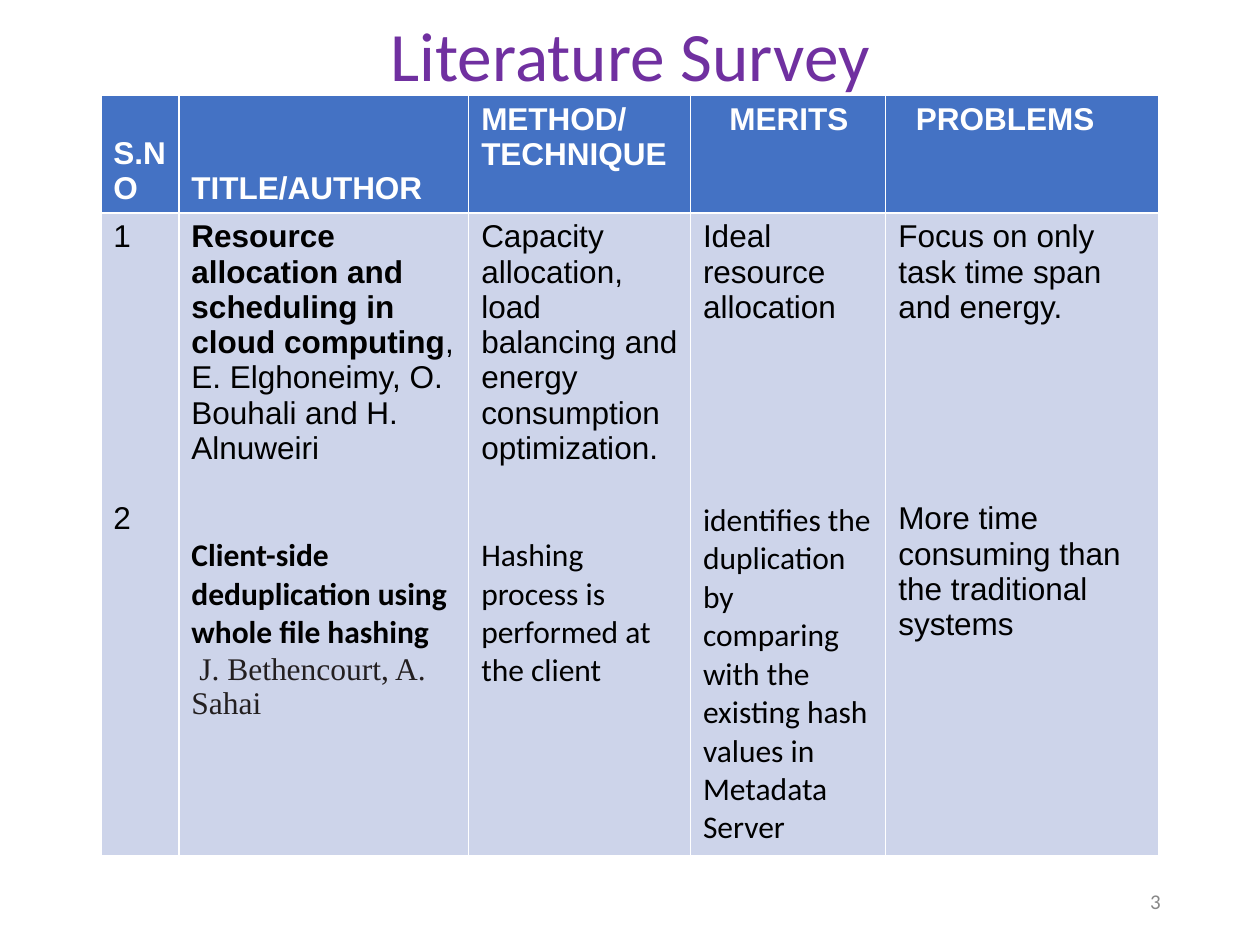
from pptx import Presentation
from pptx.dml.color import RGBColor
from pptx.enum.text import MSO_ANCHOR, PP_ALIGN
from pptx.util import Inches, Pt

LINE = 20.15  # height of one body line in points
COLUMN_WIDTHS = [0.62, 2.3, 1.76, 1.55, 2.17]
ROW_HEIGHTS = [0.93, 5.08]

# Heading lines, anchor and left margin of each column
HEADINGS = [
    (["S.NO"], MSO_ANCHOR.BOTTOM, 0.1),
    (["TITLE/AUTHOR"], MSO_ANCHOR.BOTTOM, 0.1),
    (["METHOD/", "TECHNIQUE"], MSO_ANCHOR.TOP, 0.1),
    (["MERITS"], MSO_ANCHOR.TOP, 0.31),
    (["PROBLEMS"], MSO_ANCHOR.TOP, 0.24),
]

# Paragraphs of each column: text, then only the settings that differ
SURVEY = [
    [("1", {}), ("2", {"gap": 7})],
    [
        ("Resource allocation and scheduling in cloud computing",
         {"bold": True, "tail": ","}),
        ("E. Elghoneimy, O. Bouhali and H. Alnuweiri", {}),
        ("Client-side deduplication using whole file hashing",
         {"font": "Calibri", "bold": True, "gap": 2}),
        (" J. Bethencourt, A. Sahai",
         {"font": "Times New Roman", "color": "231F20"}),
    ],
    [
        ("Capacity allocation,", {}),
        ("load balancing and energy consumption optimization.", {}),
        ("Hashing process is performed at the client",
         {"font": "Calibri", "gap": 2}),
    ],
    [
        ("Ideal resource allocation", {}),
        ("identifies the duplication by comparing with the existing hash "
         "values in Metadata Server", {"font": "Calibri", "gap": 5}),
    ],
    [
        ("Focus on only task time span and energy.", {}),
        ("More time consuming than the traditional systems", {"gap": 5}),
    ],
]


def rgb(color):
    return RGBColor.from_string(color)


def style(font, name, size, color, bold=False):
    font.name = name
    font.size = Pt(size)
    font.bold = bold
    font.color.rgb = rgb(color)


def add_label(slide, text, box, size, color, align):
    label = slide.shapes.add_textbox(*map(Inches, box)).text_frame
    label.word_wrap = True
    label.vertical_anchor = MSO_ANCHOR.MIDDLE
    paragraph = label.paragraphs[0]
    paragraph.text = text
    paragraph.alignment = align
    style(paragraph.font, "Calibri", size, color)
    return paragraph


def write_paragraph(paragraph, text, font="Arial", color="000000",
                    bold=False, gap=0, tail=""):
    """Write one table paragraph; gap counts the lines left free above it."""
    paragraph.text = text
    style(paragraph.font, font, 18, color, bold)
    if gap:
        paragraph.space_before = Pt(round(gap * LINE, 1))
    if tail:
        ending = paragraph.add_run()
        ending.text = tail
        ending.font.bold = False


def fill_cell(cell, color, paragraphs):
    cell.fill.solid()
    cell.fill.fore_color.rgb = rgb(color)
    frame = cell.text_frame
    for index, (text, settings) in enumerate(paragraphs):
        paragraph = frame.add_paragraph() if index else frame.paragraphs[0]
        write_paragraph(paragraph, text, **settings)


def add_survey_table(slide):
    table = slide.shapes.add_table(
        len(ROW_HEIGHTS), len(COLUMN_WIDTHS), Inches(0.8), Inches(0.76),
        Inches(sum(COLUMN_WIDTHS)), Inches(sum(ROW_HEIGHTS))).table
    for column, width in zip(table.columns, COLUMN_WIDTHS):
        column.width = Inches(width)
    for row, height in zip(table.rows, ROW_HEIGHTS):
        row.height = Inches(height)

    # Heading row
    for index, (lines, anchor, margin) in enumerate(HEADINGS):
        heading = table.cell(0, index)
        heading.vertical_anchor = anchor
        heading.margin_left = Inches(margin)
        fill_cell(heading, "4472C4",
                  [(line, {"color": "FFFFFF", "bold": True}) for line in lines])

    # Surveyed papers
    for index, paragraphs in enumerate(SURVEY):
        fill_cell(table.cell(1, index), "CDD4EA", paragraphs)


def main():
    presentation = Presentation()
    presentation.slide_width = Inches(10)
    presentation.slide_height = Inches(7.5)
    slide = presentation.slides.add_slide(presentation.slide_layouts[6])

    # Title
    title = add_label(slide, "Literature Survey", (0.69, 0.18, 8.62, 0.58),
                      39.6, "7030A0", PP_ALIGN.CENTER)
    title.line_spacing = 0.9

    add_survey_table(slide)

    # Page number
    add_label(slide, "3", (7.06, 6.95, 2.25, 0.4), 12, "888888",
              PP_ALIGN.RIGHT)

    presentation.save("out.pptx")


if __name__ == "__main__":
    main()
